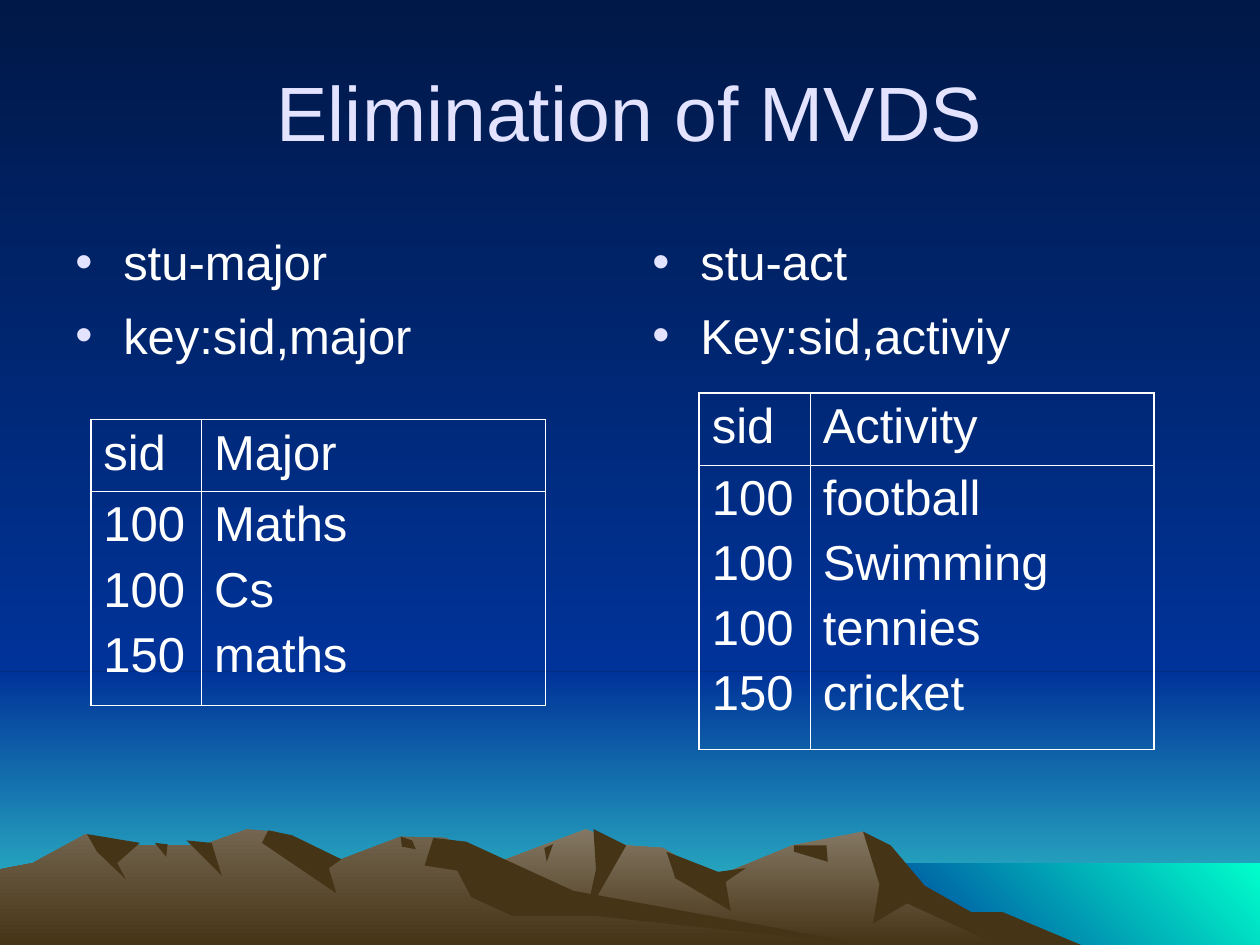
import dataclasses
import typing

import pptx
import pptx.dml.color
import pptx.enum.shapes
import pptx.enum.text
import pptx.oxml
import pptx.oxml.ns
import pptx.util

PX = 9144  # EMU per px, 100 px to the inch
WIDTH, HEIGHT = 1000, 750
SKYLINE = 533
FONT = "Arial"
BODY_SIZE = 28
COLORS = {
    "night": "001847", "blue": "003399", "horizon": "33CCCC", "sea": "00FFCC",
    "far_rock": "847864", "near_rock": "73654F", "shade": "463416",
    "title": "E3E3FF", "text": "FFFFFF",
}
Points = list[tuple[int, int]]


@dataclasses.dataclass
class Band:
    """A rectangle with a two-colour gradient, reaching the right edge."""
    left: int
    top: int
    bottom: int
    colors: tuple[str, str]
    angle: int = 270


@dataclasses.dataclass
class Range:
    """A mountain range: its crest, closed along the slide bottom, and its shaded sides."""
    rock: str
    foot: tuple[int, int]
    crest: Points
    shades: list[Points]


@dataclasses.dataclass
class Relation:
    """A bulleted list with the table below it."""
    list_left: int
    bullets: list[str]
    table_left: int
    table_top: int
    body_height: int
    header: list[str]
    columns: list[list[str]]


BANDS = [
    Band(0, SKYLINE, HEIGHT, ("blue", "horizon")),
    Band(0, 0, SKYLINE, ("night", "blue")),
    Band(683, 685, HEIGHT, ("blue", "sea"), 45),
]

RANGES = [
    Range("far_rock", (258, 820),
          [(394, 685), (465, 658), (497, 671), (526, 673), (566, 697), (629, 671),
           (685, 660), (723, 698), (764, 723)],
          [[(685, 660), (707, 671), (734, 703), (771, 724), (796, 724), (858, 750),
            (792, 750), (720, 717), (693, 733), (698, 702)],
           [(471, 658), (497, 671), (465, 727), (473, 690)],
           [(529, 676), (570, 692), (592, 689), (576, 700), (580, 723), (536, 697)],
           [(630, 671), (656, 671), (657, 684), (630, 676)],
           [(432, 673), (439, 670), (434, 684)]]),
    Range("near_rock", (0, 690),
          [(0, 690), (26, 685), (68, 662), (94, 671), (160, 671), (196, 658), (219, 660),
           (236, 681), (271, 682), (318, 664), (354, 665), (432, 712)],
          [[(213, 659), (232, 663), (271, 682), (261, 689), (267, 709), (208, 669)],
           [(344, 665), (370, 668), (455, 707), (690, 750), (472, 727), (407, 727),
            (374, 712), (363, 691), (337, 687)],
           [(318, 664), (327, 667), (330, 674), (319, 672)],
           [(148, 667), (168, 669), (176, 695)],
           [(123, 669), (133, 670), (132, 680)],
           [(69, 662), (111, 669), (93, 685), (100, 698), (77, 676)]]),
]

RELATIONS = [
    Relation(50, ["stu-major", "key:sid,major"], 72, 333, 170, ["sid", "Major"],
             [["100", "100", "150"], ["Maths", "Cs", "maths"]]),
    Relation(508, ["stu-act", "Key:sid,activiy"], 555, 312, 226, ["sid", "Activity"],
             [["100", "100", "100", "150"], ["football", "Swimming", "tennies", "cricket"]]),
]


def rgb(name: str) -> pptx.dml.color.RGBColor:
    return pptx.dml.color.RGBColor.from_string(COLORS[name])


def paint(fill: typing.Any, colors: tuple[str, ...], angle: int = 270) -> None:
    if len(colors) == 1:
        fill.solid()
        fill.fore_color.rgb = rgb(colors[0])
        return
    fill.gradient()
    fill.gradient_angle = angle
    for stop, name in zip(fill.gradient_stops, colors):
        stop.color.rgb = rgb(name)


def finish(shape: typing.Any, colors: tuple[str, ...], angle: int = 270) -> None:
    paint(shape.fill, colors, angle)
    shape.line.fill.background()
    shape.shadow.inherit = False


def draw_band(page: typing.Any, band: Band) -> None:
    frame = (band.left, band.top, WIDTH - band.left, band.bottom - band.top)
    shape = page.shapes.add_shape(pptx.enum.shapes.MSO_SHAPE.RECTANGLE,
                                  *(n * PX for n in frame))
    finish(shape, band.colors, band.angle)


def draw_outline(page: typing.Any, points: Points, colors: tuple[str, ...]) -> None:
    builder = page.shapes.build_freeform(*points[0], scale=float(PX))
    builder.add_line_segments(points[1:], close=True)
    finish(builder.convert_to_shape(), colors)


def draw_range(page: typing.Any, mountains: Range) -> None:
    left, right = mountains.foot
    outline = [(left, HEIGHT), *mountains.crest, (right, HEIGHT)]
    draw_outline(page, outline, (mountains.rock, "shade"))
    for points in mountains.shades:
        draw_outline(page, points, ("shade",))


def add_bullet(para: typing.Any) -> None:
    props = para._p.get_or_add_pPr()
    props.set("marL", str(38 * PX))
    props.set("indent", str(-38 * PX))
    space = pptx.oxml.ns.nsdecls("a")
    for xml in (f'<a:buClr {space}><a:srgbClr val="{COLORS["title"]}"/></a:buClr>',
                f'<a:buFont {space} typeface="{FONT}"/>',
                f'<a:buChar {space} char="•"/>'):
        props.append(pptx.oxml.parse_xml(xml))


def write(frame: typing.Any, lines: list[str], gap: float, size: int = BODY_SIZE,
          color: str = "text", bulleted: bool = False) -> None:
    for index, line in enumerate(lines):
        para = frame.paragraphs[0] if index == 0 else frame.add_paragraph()
        para.text = line
        if bulleted:
            add_bullet(para)
        if index:
            para.space_before = pptx.util.Pt(gap)
        para.font.name = FONT
        para.font.size = pptx.util.Pt(size)
        para.font.color.rgb = rgb(color)


def set_borders(cell: typing.Any, outer: dict[str, bool]) -> None:
    props = cell._tc.get_or_add_tcPr()
    for index, (side, is_outer) in enumerate(outer.items()):
        width = pptx.util.Pt(1.08 if is_outer else 0.45)
        props.insert(index, pptx.oxml.parse_xml(
            f'<a:ln{side} {pptx.oxml.ns.nsdecls("a")} w="{width}"><a:solidFill>'
            f'<a:srgbClr val="{COLORS["text"]}"/></a:solidFill></a:ln{side}>'))


def draw_relation(page: typing.Any, relation: Relation) -> None:
    box = page.shapes.add_textbox(relation.list_left * PX, 179 * PX, 442 * PX, 120 * PX)
    box.text_frame.word_wrap = True
    write(box.text_frame, relation.bullets, 8.4, bulleted=True)

    widths, heights = (88, 273), (57, relation.body_height)
    table = page.shapes.add_table(2, 2, relation.table_left * PX, relation.table_top * PX,
                                  sum(widths) * PX, sum(heights) * PX).table
    table.first_row = table.horz_banding = False
    for index in range(2):
        table.columns[index].width = widths[index] * PX
        table.rows[index].height = heights[index] * PX
    rows = [[[name] for name in relation.header], relation.columns]
    for r, row in enumerate(rows):
        for c, lines in enumerate(row):
            cell = table.cell(r, c)
            cell.fill.background()
            set_borders(cell, {"L": c == 0, "R": c == 1, "T": r == 0, "B": r == 1})
            write(cell.text_frame, lines, 6)


def main() -> None:
    deck = pptx.Presentation()
    deck.slide_width, deck.slide_height = WIDTH * PX, HEIGHT * PX
    page = deck.slides.add_slide(deck.slide_layouts[5])
    paint(page.background.fill, ("night", "blue"))

    # Scenery
    for band in BANDS:
        draw_band(page, band)
    for mountains in RANGES:
        draw_range(page, mountains)

    # Title, brought in front of the scenery
    title = page.shapes.title
    title.element.getparent().append(title.element)
    title.left, title.top, title.width, title.height = (n * PX for n in (50, 25, 900, 125))
    title.text_frame.vertical_anchor = pptx.enum.text.MSO_ANCHOR.MIDDLE
    write(title.text_frame, ["Elimination of MVDS"], 0, 44, "title")
    title.text_frame.paragraphs[0].alignment = pptx.enum.text.PP_ALIGN.CENTER

    # Lists and tables
    for relation in RELATIONS:
        draw_relation(page, relation)
    deck.save("out.pptx")


if __name__ == "__main__":
    main()
